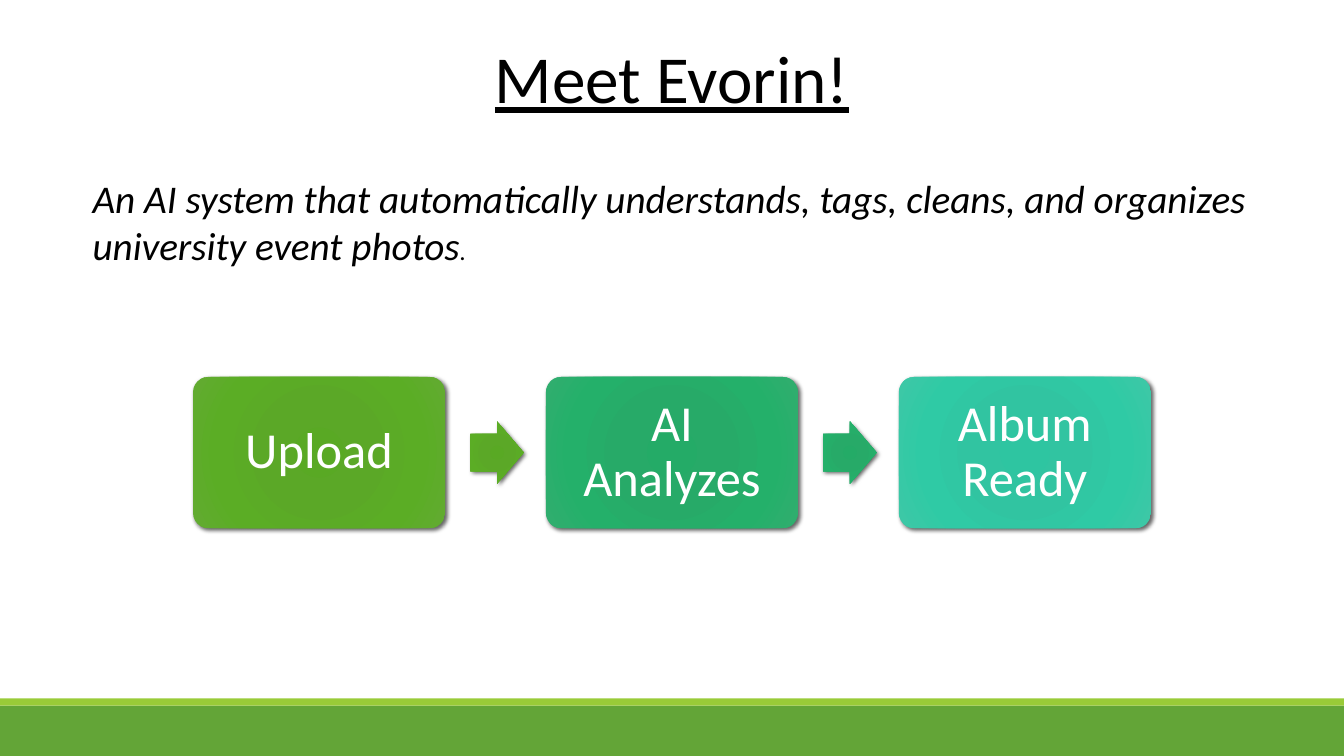
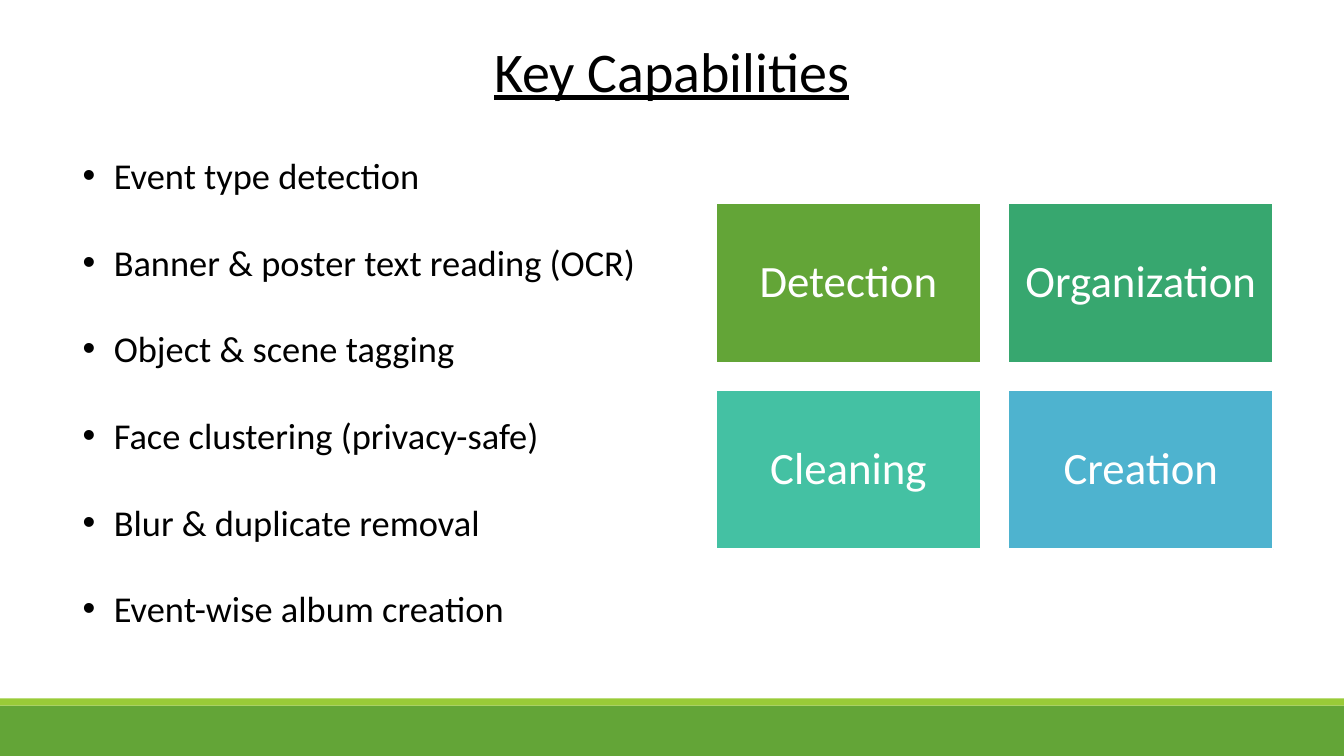
"""Build two slides on an AI photo system: its three steps and its capabilities."""
from dataclasses import dataclass

from pptx import Presentation
from pptx.dml.color import RGBColor
from pptx.enum.shapes import MSO_SHAPE as SHAPE
from pptx.enum.text import MSO_ANCHOR as ANCHOR, PP_ALIGN as ALIGN
from pptx.oxml import parse_xml
from pptx.oxml.ns import nsdecls, qn
from pptx.util import Inches, Pt


@dataclass(frozen=True)
class Theme:
    font: str = "Calibri"
    ink: str = "000000"
    white: str = "FFFFFF"
    green: str = "63A537"
    lime: str = "99CB38"
    title: int = 48
    title_small: int = 40
    lead: int = 28
    lead_end: int = 18
    bullet: int = 26
    step: int = 36
    tile: int = 32


T = Theme()
WIDTH, HEIGHT = 13.33, 7.5
GRADIENT_STOPS = (0, 34, 70, 100)

INTRO_TITLE = "Meet Evorin!"
LEAD = ("An AI system that automatically understands, tags, cleans, "
        "and organizes university event photos")
STEPS = [
    ("Upload", ("59A924", "5BA827", "5BAD25", "62AB31")),
    ("AI Analyzes", ("24AB67", "27AA68", "24B06A", "31AD6F")),
    ("Album Ready", ("2EC5A1", "31C4A1", "2FCAA5", "3EC7A6")),
]
CAPABILITIES_TITLE = "Key Capabilities"
CAPABILITIES = [
    "Event type detection",
    "Banner & poster text reading (OCR)",
    "Object & scene tagging",
    "Face clustering (privacy-safe)",
    "Blur & duplicate removal",
    "Event-wise album creation",
]
TILES = [
    ("Detection", T.green),
    ("Organization", "37A76F"),
    ("Cleaning", "44C1A3"),
    ("Creation", "4EB3CF"),
]


def add_run(p, text, size, color=T.ink, italic=False, underline=False):
    r = p.add_run()
    r.text = text
    r.font.name, r.font.size = T.font, Pt(size)
    r.font.italic, r.font.underline = italic, underline
    r.font.color.rgb = RGBColor.from_string(color)


def write(sp, lines, align=ALIGN.LEFT, anchor=ANCHOR.TOP, inset=None,
          spacing=None, gap=0, bullet=False, **font):
    tf = sp.text_frame
    tf.word_wrap, tf.vertical_anchor = True, anchor
    if inset is not None:
        tf.margin_left = tf.margin_right = Inches(inset)
        tf.margin_top = tf.margin_bottom = Inches(inset)
    for i, line in enumerate(lines):
        p = tf.paragraphs[0] if i == 0 else tf.add_paragraph()
        p.alignment, p.line_spacing = align, spacing
        if i:
            p.space_before = Pt(gap)
        if bullet:
            ppr = p._p.get_or_add_pPr()
            ppr.set("marL", str(Inches(0.31)))
            ppr.set("indent", str(-Inches(0.31)))
            ppr.append(parse_xml(f'<a:buFont {nsdecls("a")} typeface="Arial"/>'))
            ppr.append(parse_xml(f'<a:buChar {nsdecls("a")} char="•"/>'))
        add_run(p, line, **font)
    return tf


def add_text(s, box, lines, **fmt):
    return write(s.shapes.add_textbox(*map(Inches, box)), lines, **fmt)


def add_block(s, kind, box, fill=None, line=None):
    sp = s.shapes.add_shape(kind, *map(Inches, box))
    sp.shadow.inherit = False
    if fill:
        sp.fill.solid()
        sp.fill.fore_color.rgb = RGBColor.from_string(fill)
    if line:
        sp.line.color.rgb = RGBColor.from_string(line)
        sp.line.width = Pt(1.25)
    else:
        sp.line.fill.background()
    return sp


def add_glossy(s, kind, box, colors, adjustments):
    sp = add_block(s, kind, box)
    for i, value in enumerate(adjustments):
        sp.adjustments[i] = value
    stops = "".join(
        f'<a:gs pos="{pos * 1000}"><a:srgbClr val="{color}"/></a:gs>'
        for pos, color in zip(GRADIENT_STOPS, colors))
    sppr = sp.element.spPr
    sppr.find(qn("a:prstGeom")).addnext(parse_xml(
        f'<a:gradFill {nsdecls("a")} rotWithShape="1"><a:gsLst>{stops}</a:gsLst>'
        '<a:path path="circle"><a:fillToRect l="100000" t="100000" '
        'r="100000" b="100000"/></a:path></a:gradFill>'))
    sppr.find(qn("a:effectLst")).append(parse_xml(
        f'<a:outerShdw {nsdecls("a")} blurRad="{Pt(3)}" dist="{Pt(2)}" '
        'dir="2700000" rotWithShape="0"><a:srgbClr val="000000">'
        '<a:alpha val="60000"/></a:srgbClr></a:outerShdw>'))
    return sp


def add_slide(prs, title, size):
    s = prs.slides.add_slide(prs.slide_layouts[6])
    add_block(s, SHAPE.RECTANGLE, (0, 7, WIDTH, 0.5), T.green)
    add_block(s, SHAPE.RECTANGLE, (0, 6.93, WIDTH, 0.07), T.lime)
    add_text(s, (1.28, 0.31, 10.77, 0.91), [title], align=ALIGN.CENTER,
             size=size, underline=True)
    return s


def add_steps(s):
    w, h, gap, top = 2.5, 1.5, 1.0, 3.74
    arrow_w, arrow_h = 0.53, 0.62
    left = (WIDTH - len(STEPS) * (w + gap) + gap) / 2
    for i, (label, colors) in enumerate(STEPS):
        x = left + i * (w + gap)
        sp = add_glossy(s, SHAPE.ROUNDED_RECTANGLE, (x, top, w, h), colors, [0.1])
        write(sp, [label], align=ALIGN.CENTER, anchor=ANCHOR.MIDDLE, inset=0.15,
              spacing=0.9, size=T.step, color=T.white)
        if i < len(STEPS) - 1:
            box = (x + w + 0.25, top + (h - arrow_h) / 2, arrow_w, arrow_h)
            add_glossy(s, SHAPE.RIGHT_ARROW, box, colors, [0.6, 0.5])


def add_tiles(s):
    left, top, w, h, gap = 7.1, 2.02, 2.63, 1.58, 0.27
    for i, (label, color) in enumerate(TILES):
        row, col = divmod(i, 2)
        box = (left + col * (w + gap), top + row * (h + gap), w, h)
        sp = add_block(s, SHAPE.RECTANGLE, box, color, T.white)
        write(sp, [label], align=ALIGN.CENTER, anchor=ANCHOR.MIDDLE, inset=0.13,
              spacing=0.9, size=T.tile, color=T.white)


def main():
    prs = Presentation()
    prs.slide_width, prs.slide_height = Inches(WIDTH), Inches(HEIGHT)

    s = add_slide(prs, INTRO_TITLE, T.title)
    tf = add_text(s, (0.82, 1.68, 11.69, 1.04), [LEAD], size=T.lead, italic=True)
    add_run(tf.paragraphs[0], ".", T.lead_end, italic=True)
    add_steps(s)

    s = add_slide(prs, CAPABILITIES_TITLE, T.title_small)
    add_text(s, (0.72, 1.47, 8.19, 4.91), CAPABILITIES, bullet=True, gap=30.7,
             size=T.bullet)
    add_tiles(s)

    prs.save("out.pptx")


if __name__ == "__main__":
    main()
